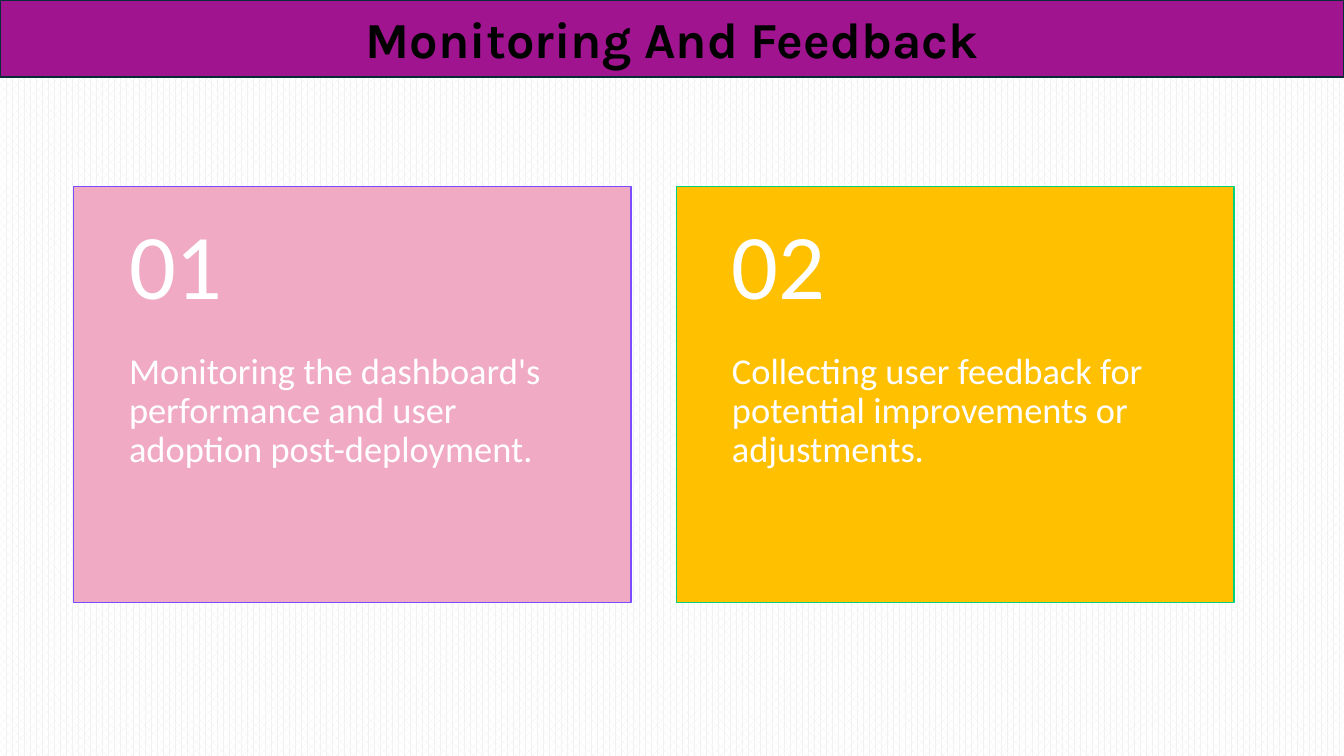
"""Build the Monitoring And Feedback slide with two numbered cards."""
import pptx
import pptx.util
import pptx.dml.color
import pptx.enum.dml
import pptx.enum.shapes
import pptx.enum.text

Inches, Pt = pptx.util.Inches, pptx.util.Pt
ANCHOR = pptx.enum.text.MSO_ANCHOR
ALIGN = pptx.enum.text.PP_ALIGN


def paint(sp, fill, line, width):
    sp.fill.solid()
    sp.fill.fore_color.rgb = pptx.dml.color.RGBColor.from_string(fill)
    sp.line.color.rgb = pptx.dml.color.RGBColor.from_string(line)
    sp.line.width = Pt(width)


def write(sp, text, size, font="Calibri", color="FFFFFF", bold=False, align=ALIGN.LEFT,
          anchor=ANCHOR.MIDDLE, spacing=0.9, insets=(0.55, 0.18, 0.55, 0.18)):
    tf = sp.text_frame
    tf.word_wrap = True
    tf.auto_size = pptx.enum.text.MSO_AUTO_SIZE.NONE
    tf.vertical_anchor = anchor
    tf.margin_left, tf.margin_top, tf.margin_right, tf.margin_bottom = map(Inches, insets)
    p = tf.paragraphs[0]
    p.alignment = align
    p.line_spacing = spacing
    r = p.add_run()
    r.text = text
    r.font.size = Pt(size)
    r.font.name = font
    r.font.bold = bold
    r.font.color.rgb = pptx.dml.color.RGBColor.from_string(color)


prs = pptx.Presentation()
prs.slide_width, prs.slide_height = Inches(13.33), Inches(7.5)
s = prs.slides.add_slide(prs.slide_layouts[5])

bg = s.background.fill
bg.patterned()
bg.pattern = pptx.enum.dml.MSO_PATTERN.PERCENT_60
bg.fore_color.rgb = pptx.dml.color.RGBColor.from_string("F2F2F2")
bg.back_color.rgb = pptx.dml.color.RGBColor.from_string("FFFFFF")

title = s.shapes.title
title.left, title.top = Inches(0), Inches(0)
title.width, title.height = prs.slide_width, Inches(0.76)
paint(title, "A0148F", "092A39", 1.5)
write(title, "Monitoring And Feedback", 36, font="Karla", color="000000", bold=True,
      align=ALIGN.CENTER, spacing=1.0, insets=(0.1, 0.05, 0.1, 0.05))

cards = [
    ("Monitoring the dashboard's performance and user adoption post-deployment.",
     "F0AAC3", "794DFF"),
    ("Collecting user feedback for potential improvements or adjustments.",
     "FFC000", "00D17D"),
]
top, width, number_height, body_height = Inches(1.85), Inches(5.53), Inches(1.65), Inches(2.48)
for i, (text, fill, line) in enumerate(cards):
    left = Inches(0.73 + 5.98 * i)
    card = s.shapes.add_shape(pptx.enum.shapes.MSO_SHAPE.RECTANGLE, left, top, width,
                              number_height + body_height)
    card.shadow.inherit = False
    paint(card, fill, line, 1)
    body = s.shapes.add_textbox(left, top + number_height, width, body_height)
    write(body, text, 26, anchor=ANCHOR.TOP, insets=(0.55, 0, 0.55, 0.36))
    number = s.shapes.add_textbox(left, top, width, number_height)
    write(number, f"{i + 1:02d}", 66)

prs.save("out.pptx")
